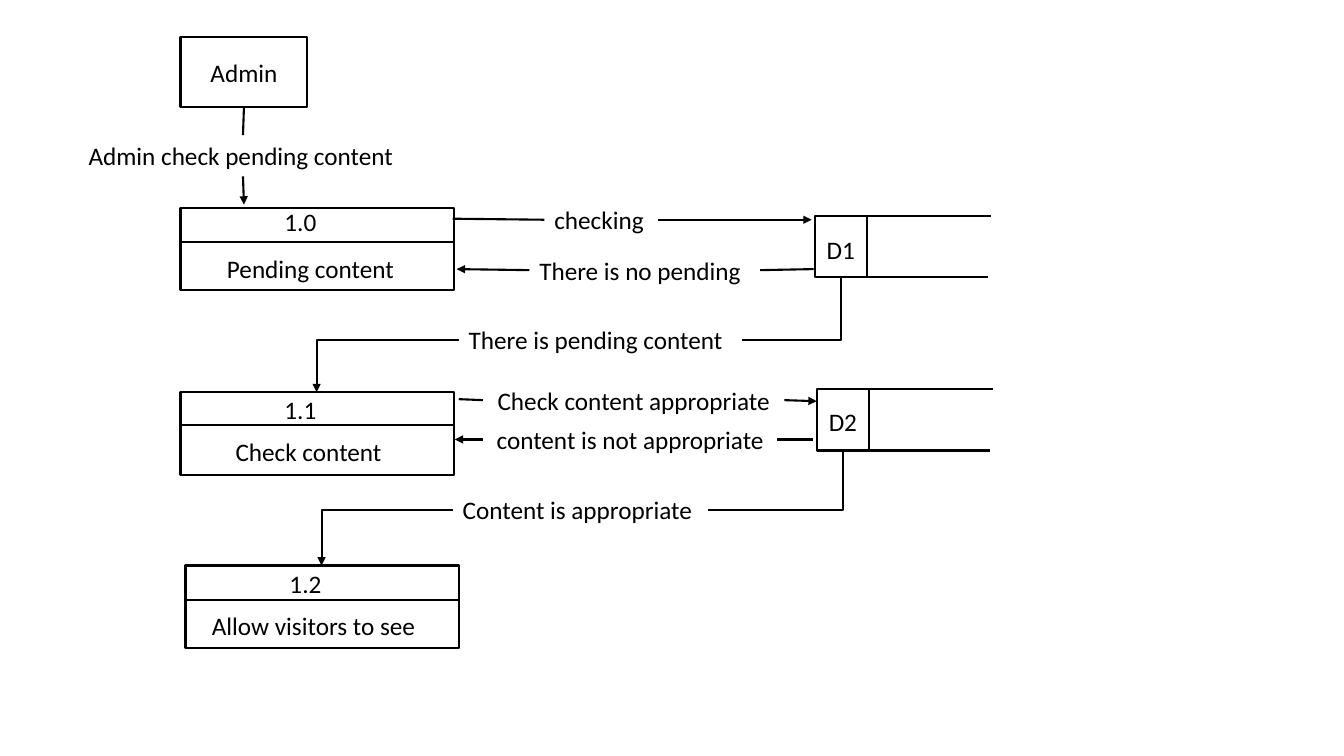
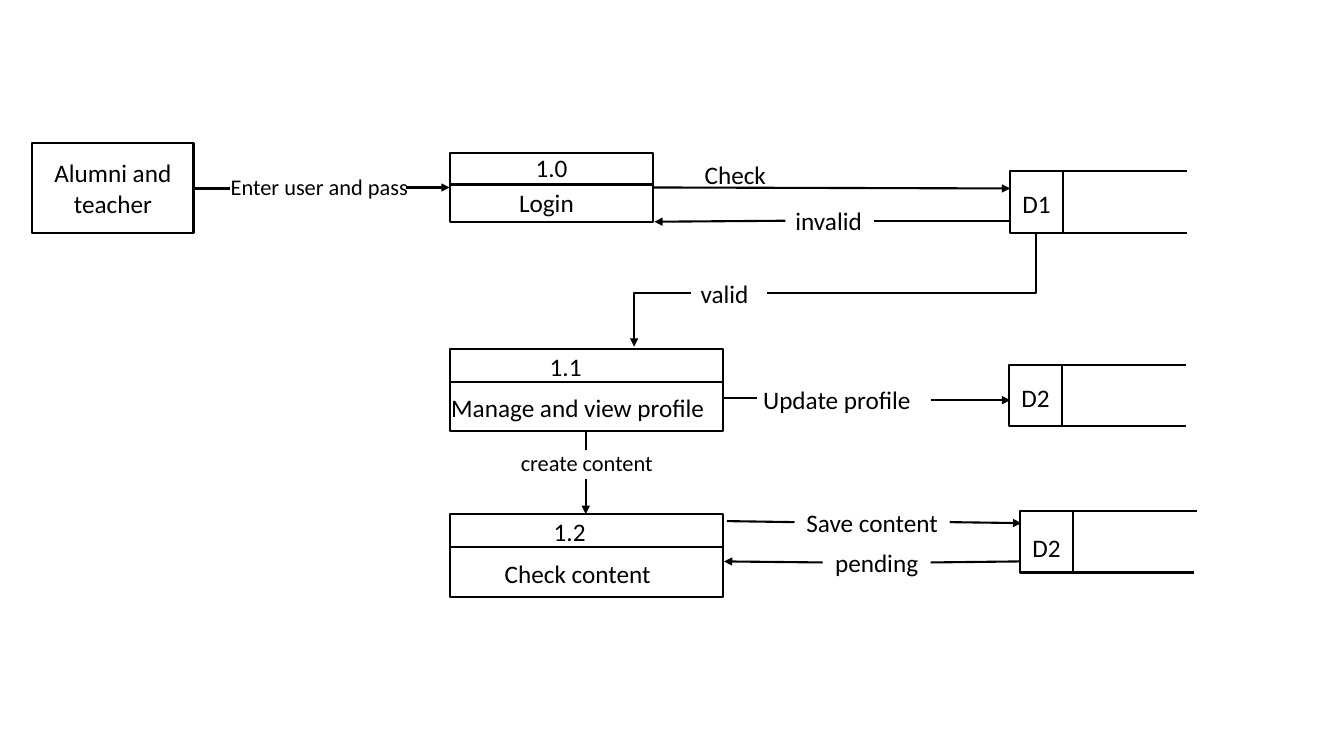
from dataclasses import dataclass
from typing import Optional

from lxml import etree
from pptx import Presentation
from pptx import util as u
from pptx.dml.color import RGBColor
from pptx.enum import shapes, text
from pptx.oxml import ns


@dataclass(frozen=True)
class Theme:
    ink: RGBColor = RGBColor(0, 0, 0)
    paper: RGBColor = RGBColor(255, 255, 255)
    font: str = "Calibri"
    size: float = 18
    small: float = 16
    stroke: float = 1.5
    label_height: float = 0.4
    store_box: tuple = (0.52, 0.61)
    store_reach: float = 1.23


@dataclass
class Entity:
    name: str
    box: tuple


@dataclass
class Process:
    number: str
    caption: str
    left: float
    top: float
    number_at: tuple = (1.19, -0.03)
    caption_at: tuple = (1.27, 0.39)
    divider: float = 0.33
    size: tuple = (2.71, 0.82)


@dataclass
class Store:
    name: str
    left: float
    top: float
    label_drop: float = 0.12
    base_shift: float = 0


@dataclass
class Flow:
    label: str
    source: tuple
    near: tuple
    far: tuple
    target: tuple
    span: Optional[tuple] = None
    centred: bool = False
    size: float = 18


@dataclass
class Caption:
    label: str
    left: float
    top: float
    width: float


@dataclass
class Arrow:
    start: tuple
    end: tuple


THEME = Theme()

REVIEW = [
    Entity("Admin", (1.79, 0.37, 1.26, 0.69)),
    Process("1.0", "Pending content", 1.79, 2.06, (1.19, -0.06), (1.29, 0.4), 0.34),
    Process("1.1", "Check content", 1.79, 3.89),
    Process("1.2", "Allow visitors to see", 1.84, 5.61, (1.19, -0.02), (1.27, 0.4), 0.34),
    Store("D1", 8.08, 2.14, 0.13, -0.03),
    Store("D2", 8.1, 3.86, 0.12, -0.03),
    Flow("Admin check pending content", (2.42, 1.06), (2.41, 1.34), (2.41, 1.75),
         (2.42, 2.03), span=(0.78, 3.26)),
    Flow("checking", (4.49, 2.17), (5.4, 2.18), (6.53, 2.18), (8.05, 2.18)),
    Flow("There is no pending", (8.07, 2.67), (7.54, 2.68), (5.25, 2.68), (4.53, 2.67)),
    Flow("There is pending content", (8.34, 2.75), (7.36, 3.37), (4.55, 3.37), (3.14, 3.89)),
    Flow("Check content appropriate", (4.55, 3.96), (4.79, 3.97), (7.78, 3.97), (8.1, 3.98),
         centred=True),
    Flow("content is not appropriate", (8.06, 4.36), (7.71, 4.36), (4.79, 4.36), (4.51, 4.36),
         centred=True),
    Flow("Content is appropriate", (8.36, 4.48), (7.02, 5.06), (4.49, 5.06), (3.19, 5.61)),
]

PUBLISHING = [
    Entity("Alumni and teacher", (0.32, 1.42, 1.6, 0.89)),
    Process("1.0", "Login", 4.46, 1.52, (1.01, -0.06), (0.96, 0.29), 0.31, (2.02, 0.68)),
    Process("1.1", "Manage and view profile", 4.46, 3.46, (1.15, -0.02), (1.27, 0.38)),
    Process("1.2", "Check content", 4.46, 5.1),
    Store("D1", 10.02, 1.7),
    Store("D2", 10.01, 3.62),
    Store("D2", 10.12, 5.07, 0.16, -0.03),
    Flow("Enter user and pass", (1.9, 1.87), (2.28, 1.87), (4.03, 1.86), (4.46, 1.86),
         span=(2.19, 1.96), size=THEME.small),
    Arrow((6.48, 1.86), (10.02, 1.87)),
    Caption("Check", 6.89, 1.53, 1.51),
    Flow("invalid", (10.03, 2.19), (8.67, 2.19), (7.79, 2.19), (6.49, 2.2)),
    Flow("valid", (10.28, 2.31), (7.61, 2.91), (6.85, 2.91), (6.29, 3.44)),
    Flow("Update profile", (7.16, 3.95), (7.51, 3.95), (9.23, 3.97), (10.02, 3.97),
         span=(7.47, 2.21)),
    Flow("create content", (5.81, 4.28), (5.81, 4.46), (5.81, 4.75), (5.81, 5.1),
         span=(4.8, 2.04), centred=True, size=THEME.small),
    Flow("Save content", (7.21, 5.17), (7.88, 5.18), (9.42, 5.18), (10.13, 5.19), centred=True),
    Flow("pending", (10.11, 5.57), (9.23, 5.58), (8.16, 5.58), (7.18, 5.57), centred=True),
]


def inches(values):
    return [u.Inches(value) for value in values]


def write(shape, words, centred=True, size=THEME.size):
    frame = shape.text_frame
    frame.word_wrap = True
    paragraph = frame.paragraphs[0]
    paragraph.text = words
    paragraph.alignment = text.PP_ALIGN.CENTER if centred else text.PP_ALIGN.LEFT
    paragraph.font.name = THEME.font
    paragraph.font.size = u.Pt(size)
    paragraph.font.color.rgb = THEME.ink
    return frame


def add_label(slide, words, left, top, width, centred=True, size=THEME.size):
    box = slide.shapes.add_textbox(*inches((left, top, width, THEME.label_height)))
    write(box, words, centred, size)


def add_box(slide, *box):
    shape = slide.shapes.add_shape(shapes.MSO_SHAPE.RECTANGLE, *inches(box))
    shape.shadow.inherit = False
    shape.fill.solid()
    shape.fill.fore_color.rgb = THEME.paper
    shape.line.color.rgb = THEME.ink
    shape.line.width = u.Pt(THEME.stroke)
    return shape


def add_line(slide, start, end, arrow=False):
    bent = min(abs(a - b) for a, b in zip(start, end)) > 0.1
    kind = shapes.MSO_CONNECTOR.ELBOW if bent else shapes.MSO_CONNECTOR.STRAIGHT
    connector = slide.shapes.add_connector(kind, *inches(start + end))
    connector.line.color.rgb = THEME.ink
    connector.line.width = u.Pt(THEME.stroke)
    properties = connector._element.spPr
    if bent:
        properties.find(ns.qn("a:prstGeom")).set("prst", "bentConnector2")
    if arrow:
        outline = properties.find(ns.qn("a:ln"))
        etree.SubElement(outline, ns.qn("a:tailEnd"), type="triangle")
    etree.SubElement(properties, ns.qn("a:effectLst"))


def draw_entity(slide, entity):
    frame = write(add_box(slide, *entity.box), entity.name)
    frame.vertical_anchor = text.MSO_ANCHOR.MIDDLE


def draw_process(slide, process):
    width, height = process.size
    left, top = process.left, process.top
    add_box(slide, left, top, width, height)
    divider = top + process.divider
    add_line(slide, (left, divider), (left + width, divider))
    label_width = 2.97
    for words, (x, y) in ((process.number, process.number_at),
                          (process.caption, process.caption_at)):
        add_label(slide, words, left + x - label_width / 2, top + y, label_width)


def draw_store(slide, store):
    width, height = THEME.store_box
    frame = write(add_box(slide, store.left, store.top, width, height), store.name)
    frame.vertical_anchor = text.MSO_ANCHOR.TOP
    frame.margin_left = frame.margin_right = 0
    frame.margin_top = u.Inches(store.label_drop + 0.05)
    edge = store.left + width
    for shift, y in ((0, store.top), (store.base_shift, store.top + height)):
        start = edge + shift
        add_line(slide, (start, y), (start + THEME.store_reach, y))


def draw_flow(slide, flow):
    add_line(slide, flow.near, flow.source)
    add_line(slide, flow.far, flow.target, arrow=True)
    (near_x, near_y), (far_x, far_y) = flow.near, flow.far
    left, width = flow.span or (min(near_x, far_x), abs(far_x - near_x))
    top = (near_y + far_y - THEME.label_height) / 2
    add_label(slide, flow.label, left, top, width, flow.centred, flow.size)


def draw_caption(slide, caption):
    add_label(slide, caption.label, caption.left, caption.top, caption.width, centred=False)


def draw_arrow(slide, arrow):
    add_line(slide, arrow.start, arrow.end, arrow=True)


DRAW = {
    Entity: draw_entity,
    Process: draw_process,
    Store: draw_store,
    Flow: draw_flow,
    Caption: draw_caption,
    Arrow: draw_arrow,
}


def main():
    presentation = Presentation()
    presentation.slide_width, presentation.slide_height = inches((13.33, 7.5))
    blank = presentation.slide_layouts[6]
    for diagram in (REVIEW, PUBLISHING):
        slide = presentation.slides.add_slide(blank)
        for part in diagram:
            DRAW[type(part)](slide, part)
    presentation.save("out.pptx")


if __name__ == "__main__":
    main()
